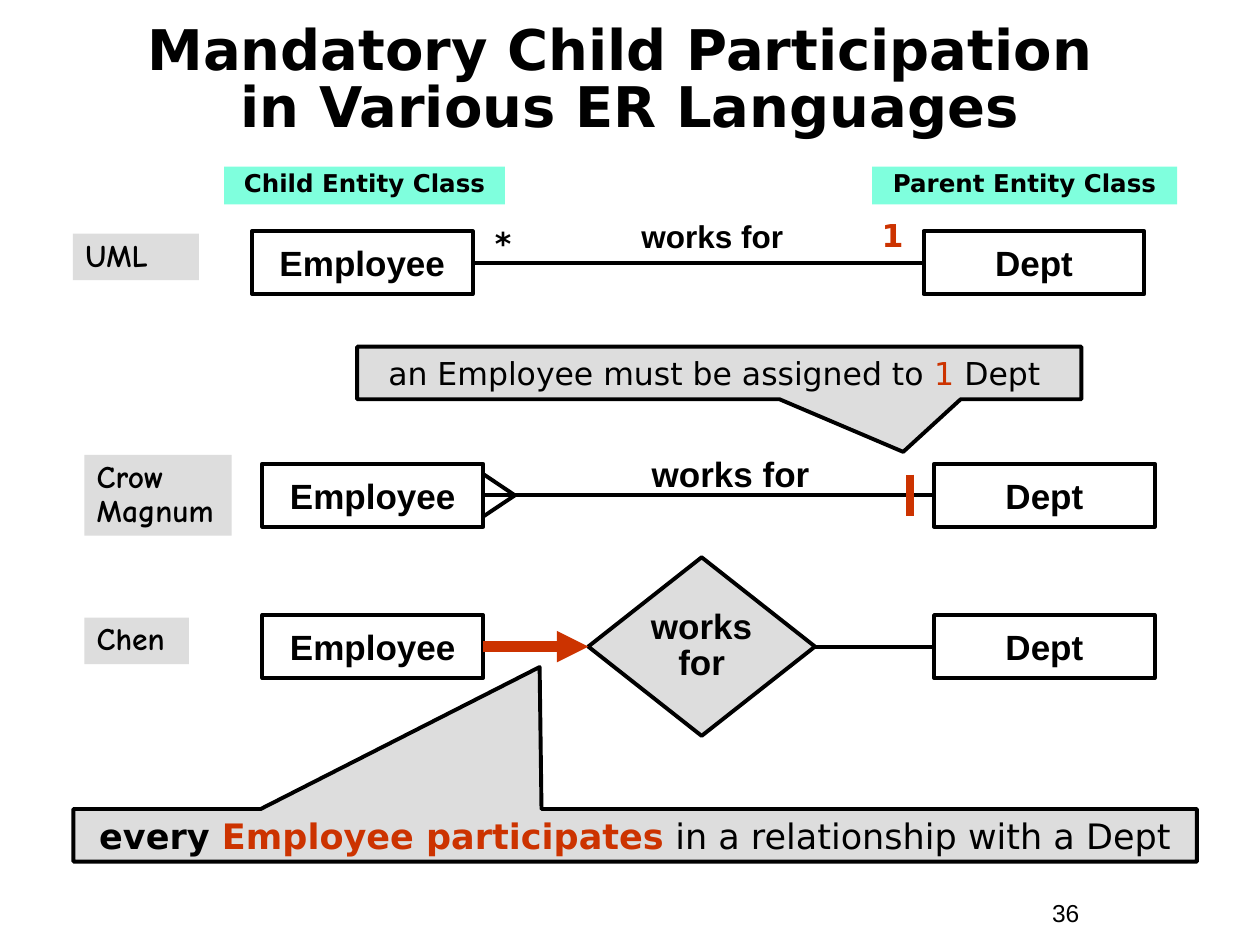
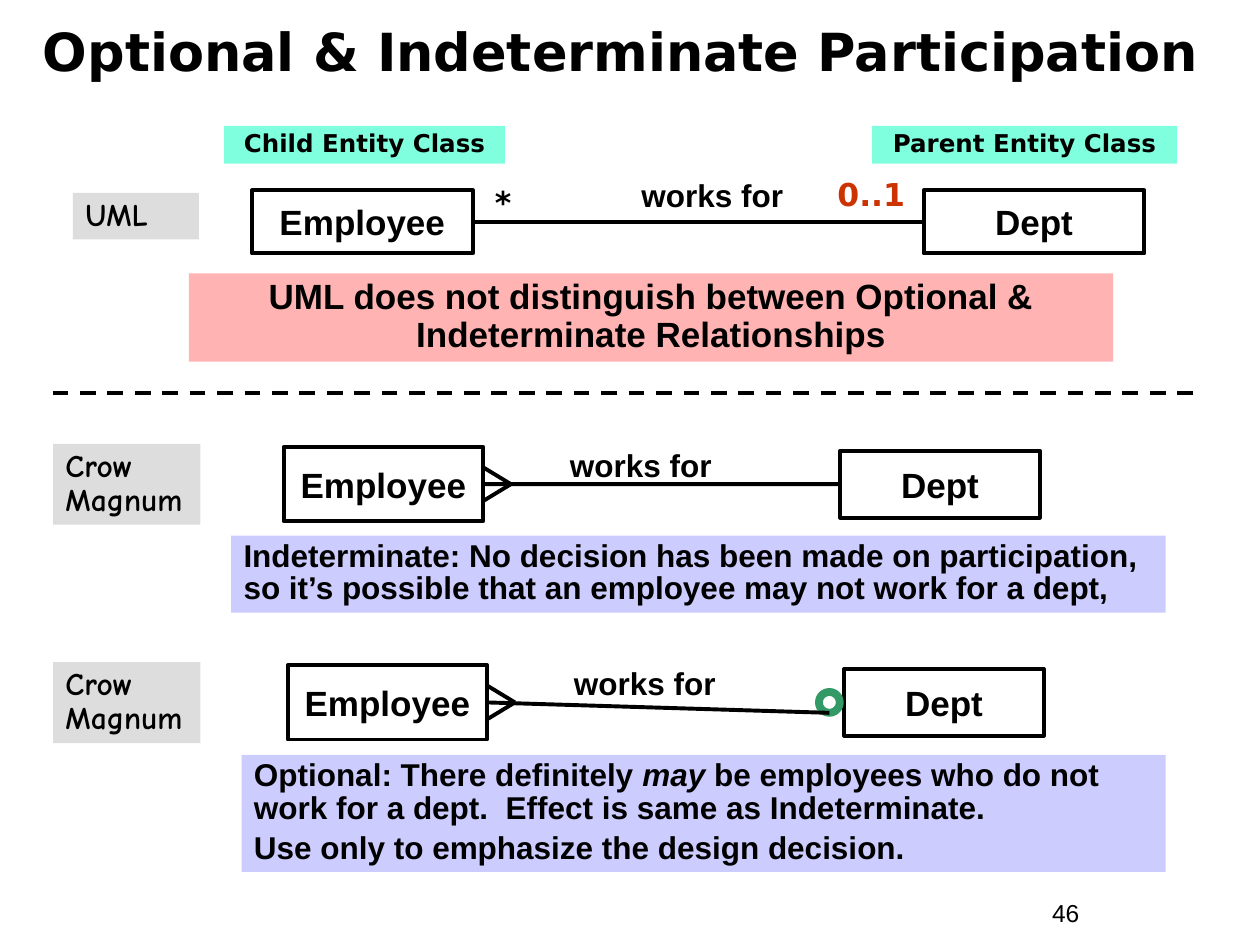
from copy import deepcopy

from lxml import etree
from pptx import Presentation
from pptx import util as u
from pptx.dml.color import RGBColor
from pptx.enum import dml, shapes, text
from pptx.oxml.ns import qn

HUES = {"ink": "000000", "red": "CC3300", "gray": "DDDDDD", "mint": "7FFFDD",
        "lilac": "CCCCFF", "pink": "FFB3B3", "green": "339966"}
SANS, HAND, BODY = "DejaVu Sans", "Comic Neue", "Arial"
MID, LEFT = text.PP_ALIGN.CENTER, text.PP_ALIGN.LEFT
FORM = shapes.MSO_SHAPE
TOP, WEST, EAST = 0, 1, 3


def hue(name):
    return RGBColor.from_string(HUES[name])


def place(item, area):
    item.left, item.top, item.width, item.height = map(u.Cm, area)


def write(item, words, size=18, font=BODY, bold=True, align=MID, line=1.0,
          gap=0, mid=True, wrap=True):
    """Fill a shape; words is a string or a list of paragraphs of (text, changes)."""
    frame = item.text_frame
    frame.word_wrap = wrap
    frame.auto_size = text.MSO_AUTO_SIZE.NONE
    anchor = text.MSO_ANCHOR
    frame.vertical_anchor = anchor.MIDDLE if mid else anchor.TOP
    paras = [[(words, {})]] if isinstance(words, str) else words
    for i, runs in enumerate(paras):
        para = frame.add_paragraph() if i else frame.paragraphs[0]
        para.alignment = align
        para.line_spacing = line
        if i:
            para.space_before = u.Pt(gap)
        for part, diff in runs:
            for j, row in enumerate(part.split("\n")):
                if j:
                    para.add_line_break()
                    para._p[-1].append(deepcopy(run._r.rPr))
                run = para.add_run()
                run.text = row
                run.font.name, run.font.size = font, u.Pt(size)
                run.font.bold = diff.get("bold", bold)
                run.font.italic = diff.get("italic", False)
                run.font.color.rgb = hue(diff.get("color", "ink"))


def shape(slide, kind, area, fill=None, edge=None, width=2.25):
    item = slide.shapes.add_shape(kind, *map(u.Cm, area))
    item.shadow.inherit = False
    if fill:
        item.fill.solid()
        item.fill.fore_color.rgb = hue(fill)
    else:
        item.fill.background()
    if edge:
        item.line.color.rgb = hue(edge)
        item.line.width = u.Pt(width)
    else:
        item.line.fill.background()
    return item


def label(slide, words, area, **form):
    write(slide.shapes.add_textbox(*map(u.Cm, area)), words, mid=False, **form)


def panel(slide, words, area, fill, **form):
    write(shape(slide, FORM.RECTANGLE, area, fill), words, mid=False, **form)


def tag(slide, words, area):
    panel(slide, words, area, "gray", font=HAND, align=LEFT, line=0.9)


def stroke(slide, ends, color="ink", width=2.25):
    item = slide.shapes.add_connector(shapes.MSO_CONNECTOR.STRAIGHT,
                                      *map(u.Cm, ends))
    item.line.color.rgb = hue(color)
    item.line.width = u.Pt(width)
    etree.SubElement(item._element.spPr, qn("a:effectLst"))
    return item


def join(slide, start, stop, side=WEST, **form):
    item = stroke(slide, (0, 0, 1, 1), **form)
    item.begin_connect(start, EAST)
    item.end_connect(stop, side)
    return item


def callout(slide, words, area, tip, size):
    item = shape(slide, FORM.RECTANGULAR_CALLOUT, area, "gray", "ink")
    item.adjustments[0], item.adjustments[1] = tip
    write(item, words, size=size, font=SANS, bold=False)


def pair(slide, area, wide=4.45, low=0):
    """Child at the left end, parent at the right end, lower by low."""
    x, y, w, h = area
    nodes = []
    for name, spot in (("Employee", (x, y, wide, h)),
                       ("Dept", (x + w - wide, y + low / 2, wide, h - low))):
        node = shape(slide, FORM.RECTANGLE, spot, edge="ink")
        write(node, name, size=20, wrap=False)
        nodes.append(node)
    return nodes


def base(deck, title, area, size, number):
    """Slide with its title and number."""
    slide = deck.slides.add_slide(deck.slide_layouts[5])
    head = slide.shapes.title
    place(head, area)
    write(head, title, size=size, font=SANS, line=0.85)
    label(slide, number, (20.96, 17.98, 2.34, 0.86), size=14, bold=False, align=LEFT)
    return slide


def uml(slide, area, count, shift):
    """UML row with the class headings above it."""
    x, y, w, h = area
    for name, dx, wide in (("Child", -0.56, 5.66), ("Parent", 12.5, 6.15)):
        panel(slide, f"{name} Entity Class", (x + dx, y - 1.3, wide, 0.76),
              "mint", size=14, font=SANS, line=0.85)
    tag(slide, "UML", (x - 3.61, y + 0.05, 2.54, 0.94))
    join(slide, *pair(slide, area))
    label(slide, "works for", (x + 7.16, y - 0.3, 4.24, 0.91), line=0.85)
    label(slide, "*", (x + 4.01, y - 0.18, 2.11, 0.94), font=SANS, line=0.9)
    label(slide, [[(count, {"color": "red"})]],
          (x + shift, y - 0.35, 2.11, 0.94), font=SANS, line=0.9)


def foot(slide, x, y, reach, half):
    """Crow's foot whose toes touch the child's right side at x."""
    for dy in (-half, half):
        stroke(slide, (x + reach, y, x, y + dy))


def crow(slide, area):
    """Crow's foot row with a mandatory bar."""
    x, y, w, h = area
    tag(slide, "Crow\nMagnum", (x - 3.59, y - 0.18, 2.97, 1.63))
    join(slide, *pair(slide, area))
    foot(slide, x + 4.45, y + h / 2, 0.64, 0.43)
    label(slide, "works for", (x + 7.32, y - 0.23, 4.24, 0.99), size=20, line=0.85)
    bar = x + 13.06
    stroke(slide, (bar, y + 0.22, bar, y + 1.06), "red", 4.5)


def chen(slide, area):
    """Chen row with a relationship diamond."""
    x, y, w, h = area
    tag(slide, "Chen", (x - 3.59, y + 0.05, 2.11, 0.94))
    child, parent = pair(slide, area)
    verb = shape(slide, FORM.FLOWCHART_DECISION,
                 (x + 6.57, y + h / 2 - 1.8, 4.57, 3.6), "gray", "ink")
    write(verb, "works\nfor", size=20, line=0.85, wrap=False)
    join(slide, verb, parent)
    arrow = join(slide, child, verb, color="red", width=6)
    etree.SubElement(arrow.line._get_or_add_ln(), qn("a:tailEnd"), type="triangle")


def loose(slide, area, note, spot, ring=False, gap=0):
    """Crow's foot row without a mandatory bar, and its note."""
    x, y, w, h = area
    tag(slide, "Crow\nMagnum", (1.07, y - 0.06, 2.97, 1.63))
    child, parent = pair(slide, area, wide=4.02, low=0.15)
    if ring:
        zero = shape(slide, FORM.OVAL, (x + w - 4.53, y + h / 2 - 0.21, 0.42, 0.42),
                     edge="green", width=4.5)
        join(slide, child, zero, side=2)
    else:
        join(slide, child, parent)
    foot(slide, x + 4.02, y + h / 2, 0.56, 0.34)
    label(slide, "works for", (x + 5.08, y - 0.15, 4.24, 1.02))
    panel(slide, note, spot, "lilac", align=LEFT, line=0.85, gap=gap)


def must(deck):
    """Mandatory participation."""
    slide = base(deck, "Mandatory Child Participation \nin Various ER Languages",
                 (0.85, 0.48, 23.7, 2.34), 32, "36")
    uml(slide, (5.08, 4.66, 17.99, 1.27), "1", 11.86)
    crow(slide, (5.29, 9.35, 17.99, 1.27))
    chen(slide, (5.29, 12.4, 17.99, 1.27))
    callout(slide, [[("an Employee must be assigned to ", {}),
                     ("1", {"color": "red"}), (" Dept ", {})]],
            (7.2, 6.99, 14.6, 1.06), (0.254, 1.5), 18)
    callout(slide, [[("every ", {"bold": True}),
                     ("Employee participates", {"bold": True, "color": "red"}),
                     (" in a relationship with a Dept", {})]],
            (1.48, 16.31, 22.65, 1.06), (-0.085, -3.2), 20)


def may(deck):
    """Optional and indeterminate participation."""
    slide = base(deck, "Optional & Indeterminate Participation ",
                 (0.42, 0.2, 24.56, 1.84), 30, "46")
    uml(slide, (5.08, 3.84, 17.99, 1.27), "0..1", 11.43)
    panel(slide, "UML does not distinguish between Optional & "
          "Indeterminate Relationships", (3.81, 5.51, 18.63, 1.78), "pink",
          size=20, line=0.9)
    rule = stroke(slide, (1.06, 7.92, 24.13, 7.92))
    rule.line.dash_style = dml.MSO_LINE.DASH
    loose(slide, (5.72, 9.01, 15.24, 1.5),
          "Indeterminate: No decision has been made on participation, "
          "so it’s possible that an employee may not work for a dept,",
          (4.66, 10.8, 18.84, 1.55))
    loose(slide, (5.8, 13.41, 15.24, 1.5),
          [[("Optional: There definitely ", {}), ("may", {"italic": True}),
            (" be employees who do not work for a dept.  "
             "Effect is same as Indeterminate.", {})],
           [("Use only to emphasize the design decision.", {})]],
          (4.87, 15.22, 18.63, 2.36), ring=True, gap=4.5)


def main():
    deck = Presentation()
    deck.slide_width, deck.slide_height = u.Cm(25.4), u.Cm(19.05)
    must(deck)
    may(deck)
    deck.save("out.pptx")


if __name__ == "__main__":
    main()
